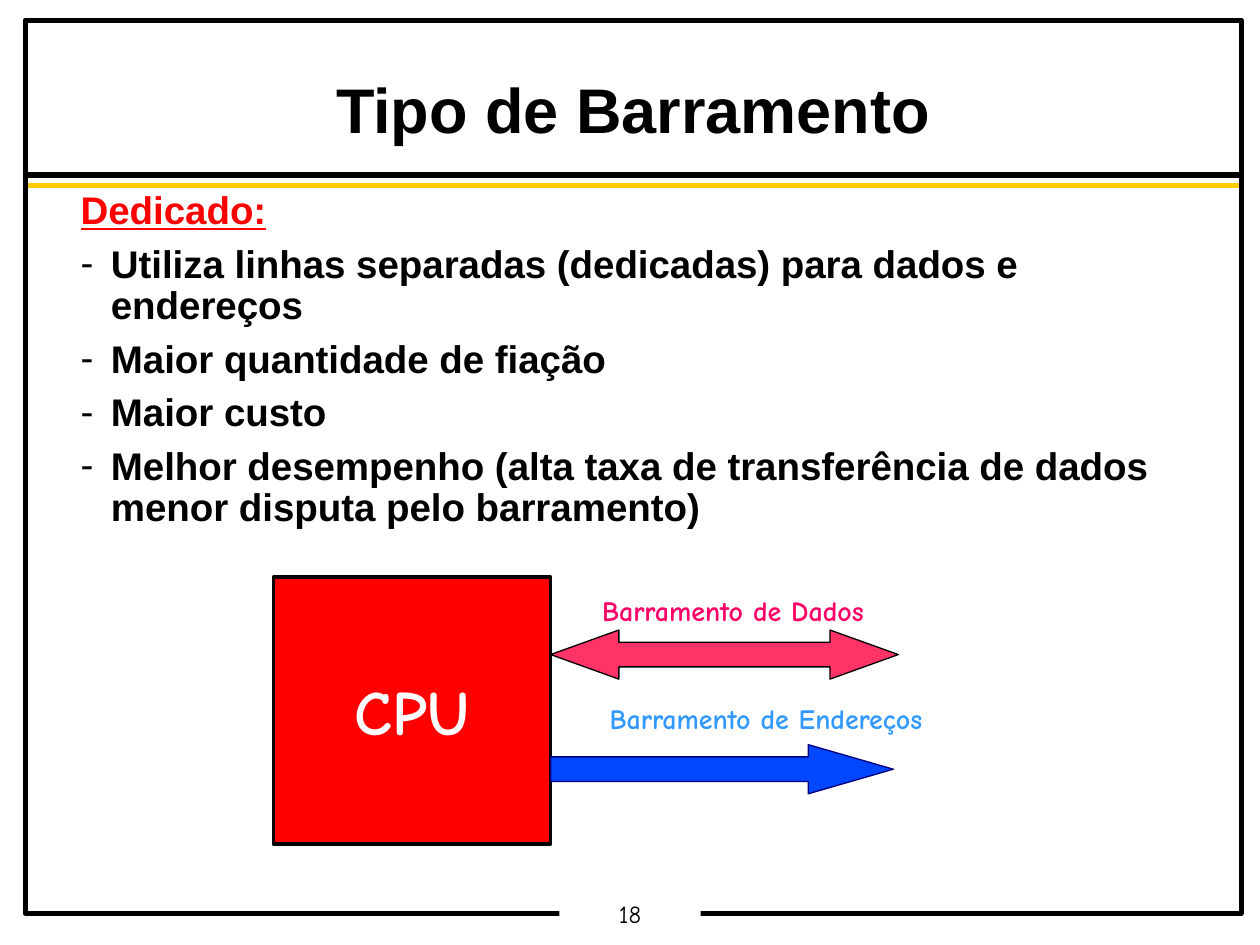
from lxml import etree
from pptx import Presentation
from pptx import util as u
from pptx.dml.color import RGBColor
from pptx.enum import shapes, text
from pptx.oxml.ns import qn

COLORS = {
    "ink": "000000", "paper": "FFFFFF", "gold": "FFCC00", "red": "FF0000",
    "data_label": "FF0066", "data": "FF3366",
    "address_label": "3399FF", "address": "0047FF", "navy": "000080",
}
COLUMNS, ROWS = 100, 75
CELL = u.Inches(0.1)
BENEFITS = [
    "Utiliza linhas separadas (dedicadas) para dados e endereços",
    "Maior quantidade de fiação",
    "Maior custo",
    "Melhor desempenho (alta taxa de transferência de dados menor disputa pelo barramento)",
]


def color(name):
    """Return the named colour."""
    return RGBColor.from_string(COLORS[name])


def within(box, left, top, width, height):
    """Return a box placed by grid cells from the corner of another one."""
    return box[0] + left, box[1] + top, width, height


def cells(*counts):
    """Turn grid counts into lengths."""
    return [u.Emu(round(count * CELL)) for count in counts]


def place(shape, box):
    """Move a shape to a box."""
    shape.left, shape.top, shape.width, shape.height = cells(*box)


def style(paragraph, size, name, face="Arial", bold=True):
    """Set the font of a whole paragraph."""
    font = paragraph.font
    font.size, font.name, font.bold = u.Pt(size), face, bold
    font.color.rgb = color(name)


def frame_text(shape, inset, anchor, wrap=True):
    """Set the insets, anchor and wrapping of a text frame and return it."""
    frame = shape.text_frame
    frame.margin_left = frame.margin_right = u.Inches(inset)
    frame.margin_top = frame.margin_bottom = u.Inches(inset / 2)
    frame.vertical_anchor, frame.word_wrap = anchor, wrap
    frame.auto_size = text.MSO_AUTO_SIZE.NONE
    return frame


def add_block(slide, kind, box, fill=None, line=None, weight=0):
    """Add a flat preset shape."""
    block = slide.shapes.add_shape(kind, *cells(*box))
    block.shadow.inherit = False
    if fill:
        block.fill.solid()
        block.fill.fore_color.rgb = color(fill)
    else:
        block.fill.background()
    if line:
        block.line.color.rgb = color(line)
        block.line.width = u.Pt(weight)
    else:
        block.line.fill.background()
    return block


def add_border(slide, box):
    """Draw the slide border, its two rules and the page number."""
    left, top, width, height = box
    for row, name in ((12.3, "ink"), (13.1, "gold")):
        ends = cells(left, top + row, left + width, top + row)
        rule = slide.shapes.add_connector(shapes.MSO_CONNECTOR.STRAIGHT, *ends)
        rule.line.color.rgb = color(name)
        rule.line.width = u.Pt(3)
        etree.SubElement(rule._element.spPr, qn("a:effectLst"))
    rectangle = shapes.MSO_SHAPE.RECTANGLE
    add_block(slide, rectangle, box, line="ink", weight=2.83)
    page = add_block(slide, rectangle, within(box, 42.4, 69.7, 11.2, 2.7), "paper")
    number = frame_text(page, 0.06, text.MSO_ANCHOR.TOP).paragraphs[0]
    number.text, number.alignment = "18", text.PP_ALIGN.CENTER
    number.line_spacing = 0.9
    style(number, 14, "ink", "Comic Neue", False)


def add_title(slide, box):
    """Fill the title placeholder."""
    title = slide.shapes.title
    place(title, box)
    heading = frame_text(title, 0.07, text.MSO_ANCHOR.TOP).paragraphs[0]
    heading.text, heading.alignment = "Tipo de Barramento", text.PP_ALIGN.CENTER
    heading.line_spacing = 0.95
    style(heading, 36, "ink")


def set_bullet(paragraph, mark=None):
    """Give a paragraph a hanging indent and a dash or no bullet."""
    props = paragraph._p.get_or_add_pPr()
    indent = u.Inches(0.24)
    props.set("marL", str(indent))
    props.set("indent", str(-indent))
    if mark:
        ink = etree.SubElement(props, qn("a:buClr"))
        etree.SubElement(ink, qn("a:srgbClr")).set("val", COLORS["ink"])
        etree.SubElement(props, qn("a:buFont")).set("typeface", "Arial")
        etree.SubElement(props, qn("a:buChar")).set("char", mark)
    else:
        etree.SubElement(props, qn("a:buNone"))


def add_benefits(slide, box):
    """Fill the body placeholder with the heading and its dashed list."""
    body = slide.placeholders[1]
    place(body, box)
    frame = frame_text(body, 0.1, text.MSO_ANCHOR.TOP)
    for index, line in enumerate(["Dedicado:"] + BENEFITS):
        item = frame.add_paragraph() if index else frame.paragraphs[0]
        item.text = line
        item.line_spacing = 0.9
        item.space_before = u.Pt(6.8 if index else 0)
        set_bullet(item, "-" if index else None)
        style(item, 22, "ink" if index else "red")
        item.font.underline = index == 0


def add_bus(slide, label, label_box, label_color, kind, arrow_box, head, fill, line):
    """Draw one labelled bus arrow."""
    caption = slide.shapes.add_textbox(*cells(*label_box))
    words = frame_text(caption, 0.1, text.MSO_ANCHOR.TOP, False).paragraphs[0]
    words.text = label
    style(words, 16, label_color, "Comic Neue")
    arrow = add_block(slide, kind, arrow_box, fill, line)
    arrow.adjustments[0], arrow.adjustments[1] = 0.5, head


def add_diagram(slide, box):
    """Draw the processor with its data and address buses."""
    side = 22
    cpu = add_block(slide, shapes.MSO_SHAPE.RECTANGLE,
                    within(box, 0, 0, side, box[3]), "red", "ink", 2)
    name = frame_text(cpu, 0.1, text.MSO_ANCHOR.MIDDLE).paragraphs[0]
    name.text, name.alignment = "CPU", text.PP_ALIGN.CENTER
    style(name, 36, "paper", "Comic Neue")
    add_bus(slide, "Barramento de Dados", within(box, side + 3.1, 0.8, 22.9, 3.7),
            "data_label", shapes.MSO_SHAPE.LEFT_RIGHT_ARROW,
            within(box, side, 4.2, 27.6, 3.9), 1.39, "data", "ink")
    add_bus(slide, "Barramento de Endereços", within(box, side + 3.7, 9.4, 27, 3.7),
            "address_label", shapes.MSO_SHAPE.RIGHT_ARROW,
            within(box, side, 13.3, 27.2, 3.9), 1.73, "address", "navy")


def main():
    """Build and save the slide."""
    deck = Presentation()
    deck.slide_width, deck.slide_height = cells(COLUMNS, ROWS)
    slide = deck.slides.add_slide(deck.slide_layouts[1])
    border = (2, 1.6, 96.5, 70.9)
    add_border(slide, border)
    add_title(slide, within(border, 0, 4.1, border[2], 6.3))
    add_benefits(slide, within(border, 3.4, 13.1, 90.3, 51.3))
    add_diagram(slide, within(border, 19.7, 44.2, 49.6, 21.2))
    deck.save("out.pptx")


if __name__ == "__main__":
    main()
